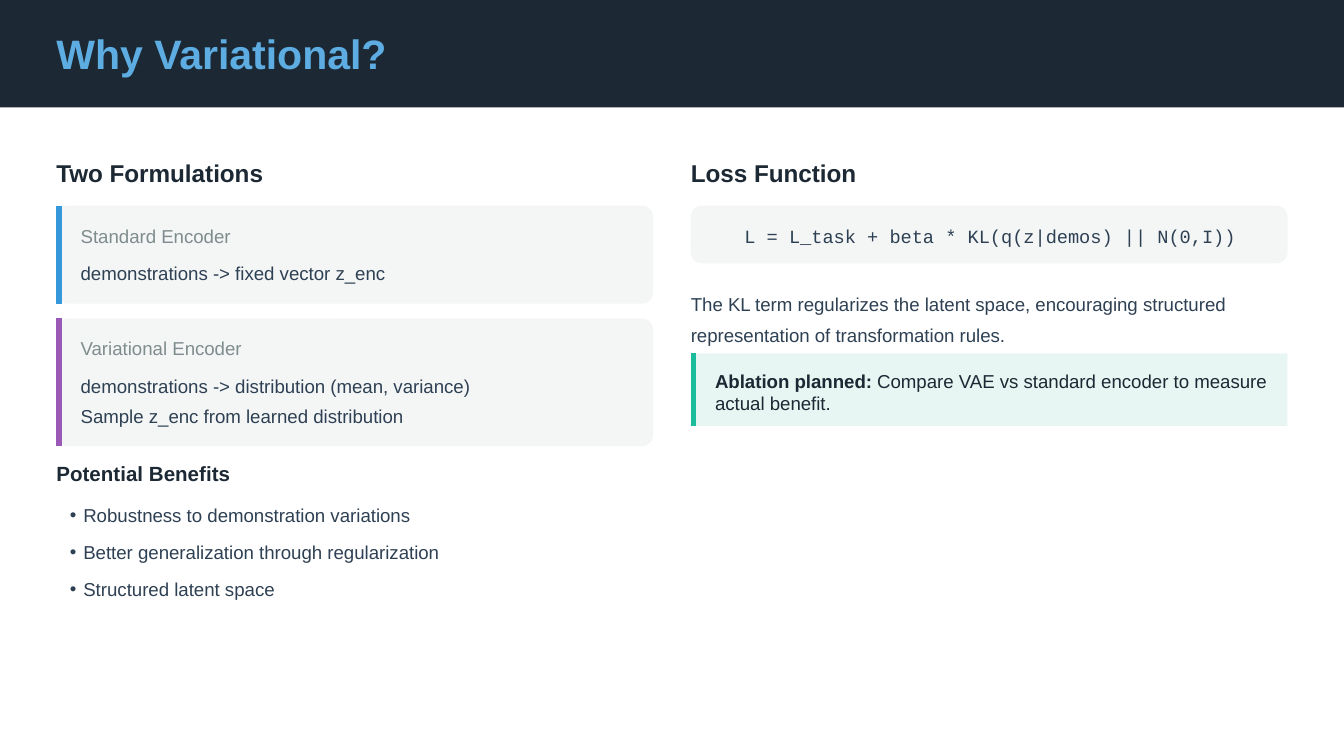
from lxml.etree import SubElement
from pptx import Presentation
from pptx.dml.color import RGBColor
from pptx.enum.shapes import MSO_CONNECTOR as CONNECTOR, MSO_SHAPE as SHAPE
from pptx.enum.text import MSO_ANCHOR as ANCHOR, MSO_AUTO_SIZE as AUTO_SIZE, PP_ALIGN as ALIGN
from pptx.oxml.ns import qn
from pptx.util import Inches, Pt

NAVY, SLATE, GRAY, PALE, MINT = "1C2833", "2E4053", "7F8C8D", "F4F6F6", "E8F6F3"
LEFT, RIGHT, COLUMN = 0.42, 5.14, 4.44
CARD_TOP, CARD_GAP, LINE_STEP, RADIUS = 1.53, 0.11, 0.22, 1 / 12

TITLE = "Why Variational?"
HEADINGS = [(LEFT, "Two Formulations"), (RIGHT, "Loss Function")]
ENCODERS = [
    ("Standard Encoder", "3498DB", ["demonstrations -> fixed vector z_enc"]),
    ("Variational Encoder", "9B59B6", ["demonstrations -> distribution (mean, variance)",
                                       "Sample z_enc from learned distribution"]),
]
BENEFITS_HEADING = "Potential Benefits"
BENEFITS = ["Robustness to demonstration variations",
            "Better generalization through regularization",
            "Structured latent space"]
FORMULA = "L = L_task + beta * KL(q(z|demos) || N(0,I))"
EXPLANATION = ("The KL term regularizes the latent space, encouraging structured "
               "representation of transformation rules.")
ABLATION = [("Ablation planned:", True),
            (" Compare VAE vs standard encoder to measure actual benefit.", False)]


def color(target, value):
    target.rgb = RGBColor.from_string(value)


def style(font, size, value, bold=False, name="Arial"):
    for key, setting in {"size": Pt(size), "bold": bold, "name": name}.items():
        setattr(font, key, setting)
    color(font.color, value)


def prepare(box, inset=0):
    frame = box.text_frame
    settings = {"margin_left": Inches(inset), "margin_right": 0, "margin_top": 0,
                "margin_bottom": 0, "word_wrap": True, "auto_size": AUTO_SIZE.NONE,
                "vertical_anchor": ANCHOR.TOP}
    for key, setting in settings.items():
        setattr(frame, key, setting)
    return frame


def place(holder, x, y, w, h):
    for key, value in {"left": x, "top": y, "width": w, "height": h}.items():
        setattr(holder, key, Inches(value))


def add_text(slide, at, runs, size, value, bold=False, name="Arial", **layout):
    frame = prepare(slide.shapes.add_textbox(*map(Inches, at)))
    paragraph = frame.paragraphs[0]
    for key, setting in layout.items():
        setattr(paragraph, key, setting)
    for words, strong in [(runs, bold)] if isinstance(runs, str) else runs:
        run = paragraph.add_run()
        run.text = words
        style(run.font, size, value, strong, name)


def add_panel(slide, at, fill, accent=None, rounded=False):
    x, y, w, h = at
    kind = SHAPE.ROUNDED_RECTANGLE if rounded else SHAPE.RECTANGLE
    panel = slide.shapes.add_shape(kind, *map(Inches, at))
    panel.shadow.inherit = False
    panel.fill.solid()
    color(panel.fill.fore_color, fill)
    panel.line.fill.background()
    if rounded:
        panel.adjustments[0] = RADIUS / h
    if accent:
        ends = map(Inches, (x + 0.02, y, x + 0.02, y + h))
        bar = slide.shapes.add_connector(CONNECTOR.STRAIGHT, *ends)
        bar.line.width = Pt(3)
        color(bar.line.color, accent)
        SubElement(bar._element.spPr, qn("a:effectLst"))
    return panel


def fill_title(slide):
    place(slide.shapes.title, LEFT, 0.21, 9.35, 0.35)
    paragraph = prepare(slide.shapes.title).paragraphs[0]
    paragraph.text = TITLE
    paragraph.alignment = ALIGN.LEFT
    style(paragraph.runs[0].font, 22, "5DADE2", True)


def fill_benefits(body):
    place(body, LEFT, 3.68, COLUMN, 0.67)
    frame = prepare(body, 0.1)
    for index, benefit in enumerate(BENEFITS):
        paragraph = frame.add_paragraph() if index else frame.paragraphs[0]
        paragraph.text = benefit
        properties = paragraph._p.get_or_add_pPr()
        properties.set("marL", str(Inches(0.1)))
        properties.set("indent", str(-Inches(0.1)))
        SubElement(SubElement(properties, qn("a:buClr")), qn("a:srgbClr"), val=SLATE)
        SubElement(properties, qn("a:buChar"), char="•")
        paragraph.line_spacing = 1.4
        paragraph.space_before = Pt(3 if index else 0)
        style(paragraph.runs[0].font, 10, SLATE)


def main():
    """Build the slide that motivates the variational encoder."""
    deck = Presentation()
    deck.slide_width = Inches(10)
    deck.slide_height = deck.slide_width * 9 // 16
    slide = deck.slides.add_slide(deck.slide_layouts[1])

    banner = add_panel(slide, (0, 0, 10, 0.8), NAVY)
    slide.shapes._spTree.insert(2, banner._element)
    fill_title(slide)
    for x, heading in HEADINGS:
        add_text(slide, (x, 1.18, 4.53, 0.22), heading, 13, NAVY, True)

    top = CARD_TOP
    for encoder, accent, lines in ENCODERS:
        height = 0.51 + LINE_STEP * len(lines)
        add_panel(slide, (LEFT, top, COLUMN, height), PALE, accent, True)
        add_text(slide, (0.6, top + 0.14, 4.21, 0.16), encoder, 10, GRAY)
        for index, line in enumerate(lines):
            y = top + 0.37 + LINE_STEP * index
            add_text(slide, (0.6, y, 4.21, 0.18), line, 10, SLATE, line_spacing=1.3)
        top += height + CARD_GAP

    add_text(slide, (LEFT, top, 4.53, 0.17), BENEFITS_HEADING, 11, NAVY, True)
    fill_benefits(slide.placeholders[1])

    add_panel(slide, (RIGHT, CARD_TOP, COLUMN, 0.43), PALE, rounded=True)
    add_text(slide, (5.24, 1.67, 4.25, 0.16), FORMULA, 10, SLATE, name="Courier New",
             alignment=ALIGN.CENTER)
    add_text(slide, (RIGHT, 2.11, 4.53, 0.39), EXPLANATION, 10, SLATE, line_spacing=1.4)
    add_panel(slide, (RIGHT, 2.63, COLUMN, 0.54), MINT, "1ABC9C")
    add_text(slide, (5.32, 2.75, 4.21, 0.31), ABLATION, 10, NAVY)
    deck.save("out.pptx")


if __name__ == "__main__":
    main()
